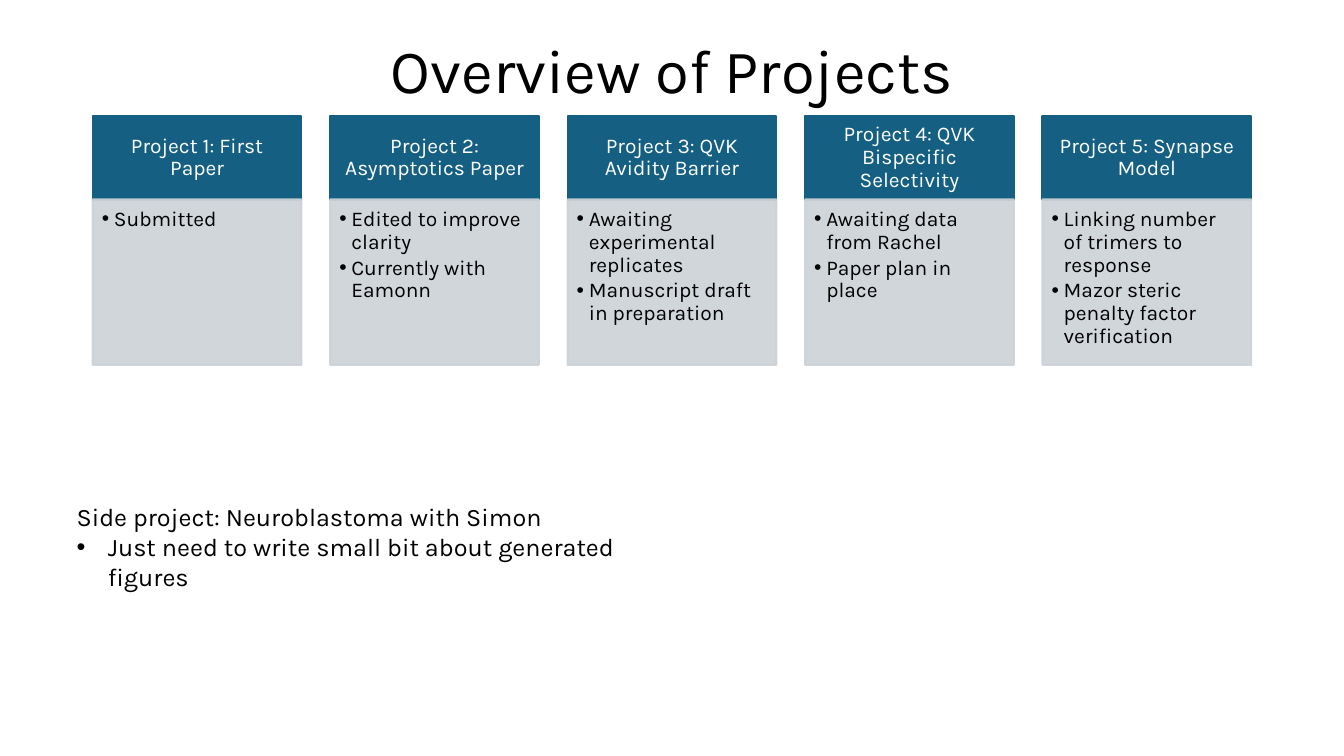
from lxml.etree import SubElement
from pptx import Presentation
from pptx.dml.color import RGBColor
from pptx.enum.shapes import MSO_SHAPE
from pptx.enum.text import MSO_ANCHOR, MSO_AUTO_SIZE, PP_ALIGN
from pptx.oxml.ns import qn
from pptx.util import Inches, Pt

TITLE = "Overview of Projects"
PROJECTS = [
    ("Project 1: First Paper", ["Submitted"]),
    ("Project 2: Asymptotics Paper",
     ["Edited to improve clarity", "Currently with Eamonn"]),
    ("Project 3: QVK Avidity Barrier",
     ["Awaiting experimental replicates", "Manuscript draft in preparation"]),
    ("Project 4: QVK Bispecific Selectivity",
     ["Awaiting data from Rachel", "Paper plan in place"]),
    ("Project 5: Synapse Model",
     ["Linking number of trimers to response",
      "Mazor steric penalty factor verification"]),
]
SIDE_HEADING = "Side project: Neuroblastoma with Simon"
SIDE_TASKS = ["Just need to write small bit about generated figures"]

COLORS = {"header": "156082", "panel": "CCD2D8", "text": "000000", "light": "FFFFFF"}
FONT = "Karla"
SLIDE_W, SLIDE_H = 13.33, 7.5
GRID_LEFT, GRID_TOP, GRID_W = 0.92, 1.15, 11.49
CARD_W, HEADER_H, PANEL_H = 2.07, 0.83, 1.64
PITCH = (GRID_W - CARD_W) / (len(PROJECTS) - 1)


def write(frame, lines, size, color="text", align=PP_ALIGN.LEFT, anchor=MSO_ANCHOR.TOP,
          insets=(0.1, 0.05, 0.1, 0.05), spacing=1.0, after=0, indent=0, plain=0):
    frame.word_wrap = True
    frame.auto_size = MSO_AUTO_SIZE.NONE
    frame.vertical_anchor = anchor
    (frame.margin_left, frame.margin_top,
     frame.margin_right, frame.margin_bottom) = map(Inches, insets)
    for number, line in enumerate(lines):
        paragraph = frame.paragraphs[0] if number == 0 else frame.add_paragraph()
        bulleted = number >= plain and indent > 0
        hang = Inches(indent) if bulleted else 0
        props = paragraph._p.get_or_add_pPr()
        props.set("marL", str(hang))
        props.set("indent", str(-hang))
        if bulleted:
            SubElement(props, qn("a:buFont"), typeface="Arial")
            SubElement(props, qn("a:buChar"), char="•")
        else:
            SubElement(props, qn("a:buNone"))
        paragraph.alignment = align
        paragraph.line_spacing = spacing
        paragraph.space_before = Pt(0)
        paragraph.space_after = Pt(after)
        run = paragraph.add_run()
        run.text = line
        run.font.name = FONT
        run.font.size = Pt(size)
        run.font.color.rgb = RGBColor.from_string(COLORS[color])


def place(holder, left, top, width, height):
    holder.left, holder.top = Inches(left), Inches(top)
    holder.width, holder.height = Inches(width), Inches(height)


def add_block(slide, left, top, height, color, opacity=100):
    block = slide.shapes.add_shape(MSO_SHAPE.RECTANGLE, Inches(left), Inches(top),
                                   Inches(CARD_W), Inches(height))
    block.shadow.inherit = False
    block.fill.solid()
    block.fill.fore_color.rgb = RGBColor.from_string(COLORS[color])
    block.line.color.rgb = RGBColor.from_string(COLORS[color])
    block.line.width = Pt(1.5)
    if opacity < 100:
        for tint in block._element.spPr.iter(qn("a:srgbClr")):
            SubElement(tint, qn("a:alpha"), val=str(opacity * 1000))
    return block.text_frame


def main():
    deck = Presentation()
    deck.slide_width, deck.slide_height = Inches(SLIDE_W), Inches(SLIDE_H)
    slide = deck.slides.add_slide(deck.slide_layouts[1])

    title = slide.shapes.title
    place(title, GRID_LEFT, 0, 11.5, 1.45)
    write(title.text_frame, [TITLE], 44, align=PP_ALIGN.CENTER,
          anchor=MSO_ANCHOR.MIDDLE, spacing=0.9)

    for column, (heading, tasks) in enumerate(PROJECTS):
        left = GRID_LEFT + column * PITCH
        header = add_block(slide, left, GRID_TOP, HEADER_H, "header")
        write(header, [heading], 15, color="light", align=PP_ALIGN.CENTER,
              anchor=MSO_ANCHOR.MIDDLE, insets=(0.12, 0.07, 0.12, 0.07), spacing=0.9)
        panel = add_block(slide, left, GRID_TOP + HEADER_H, PANEL_H, "panel", opacity=90)
        write(panel, tasks, 15, insets=(0.09, 0.09, 0.12, 0.13), spacing=0.9,
              after=2.25, indent=0.12)

    side_project = slide.placeholders[1]
    place(side_project, 0.66, 4.92, 6.01, 0.71)
    write(side_project.text_frame, [SIDE_HEADING, *SIDE_TASKS], 18, indent=0.31, plain=1)

    deck.save("out.pptx")


if __name__ == "__main__":
    main()
